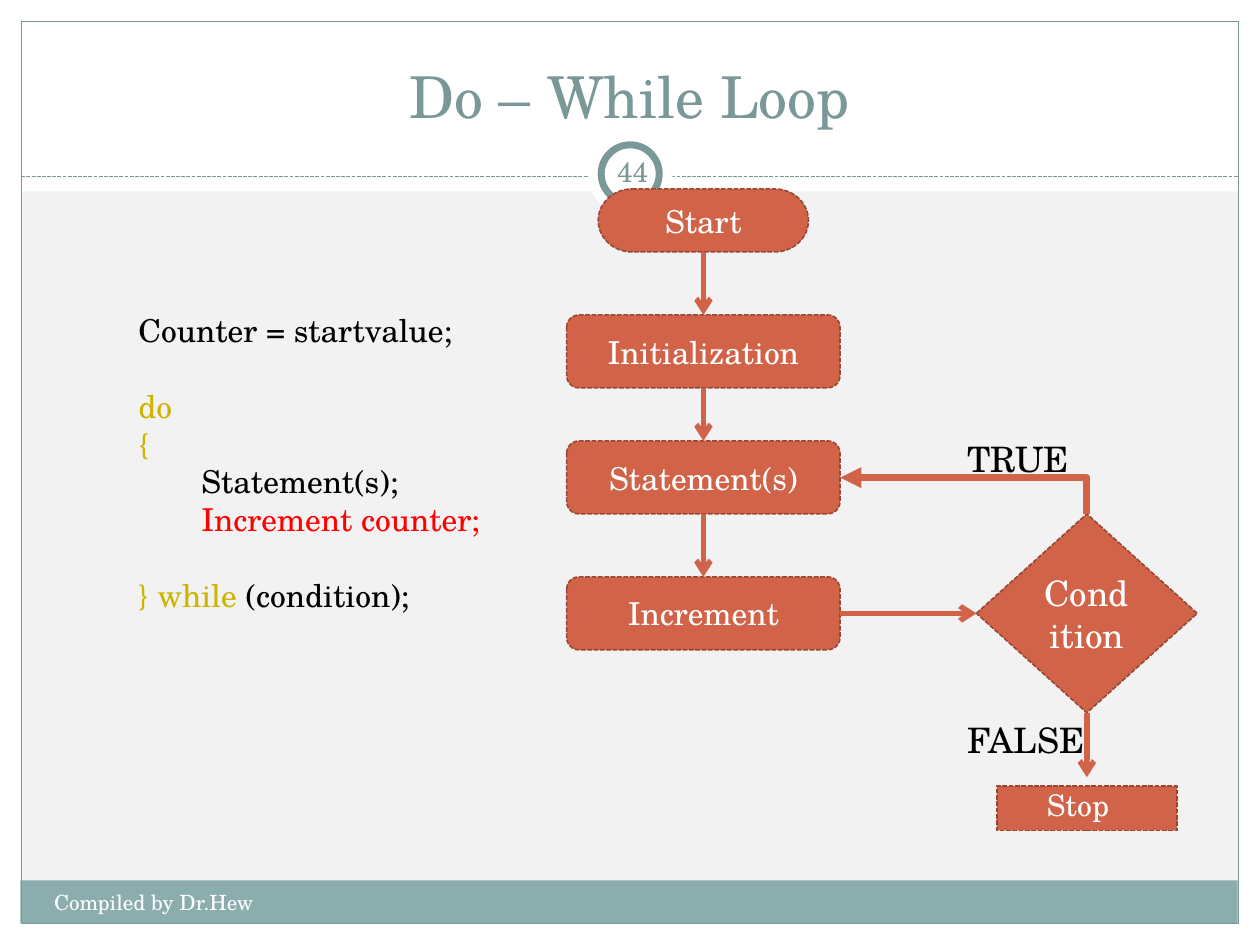
"""Build the Do – While Loop slide with its code outline and flowchart."""
from dataclasses import dataclass

from lxml import etree
from pptx import Presentation
from pptx.dml.color import RGBColor
from pptx.enum.dml import MSO_LINE
from pptx.enum.shapes import MSO_CONNECTOR, MSO_SHAPE
from pptx.enum.text import MSO_ANCHOR, MSO_AUTO_SIZE, PP_ALIGN
from pptx.oxml.ns import qn
from pptx.util import Cm, Pt

RECT, ROUND, OVAL = MSO_SHAPE.RECTANGLE, MSO_SHAPE.ROUNDED_RECTANGLE, MSO_SHAPE.OVAL
DIAMOND, TERMINATOR = MSO_SHAPE.DIAMOND, MSO_SHAPE.FLOWCHART_TERMINATOR
STRAIGHT, ELBOW = MSO_CONNECTOR.STRAIGHT, MSO_CONNECTOR.ELBOW
DASH = MSO_LINE.SQUARE_DOT
LEFT, CENTER = PP_ALIGN.LEFT, PP_ALIGN.CENTER
TOP, MIDDLE, BOTTOM = MSO_ANCHOR.TOP, MSO_ANCHOR.MIDDLE, MSO_ANCHOR.BOTTOM
SIDE_TOP, SIDE_LEFT, SIDE_BOTTOM, SIDE_RIGHT = range(4)


@dataclass(frozen=True)
class Theme:
    font: str = "TeX Gyre Schola"
    ground: str = "F2F2F2"
    white: str = "FFFFFF"
    black: str = "000000"
    teal: str = "7B9899"
    footer: str = "8CADAE"
    node: str = "D16349"
    edge: str = "994733"
    keyword: str = "CCB400"
    accent: str = "FF0000"
    title: float = 33
    large: float = 20
    normal: float = 18
    stop: float = 17
    number: float = 16
    small: float = 12


THEME = Theme()
WIDTH, HEIGHT = 25.4, 19.05
MARGIN = 0.43
RULE_Y = 3.56
FLOW_X, BRANCH_X = 14.18, 21.91
CODE_INDENTS = (2.54, 3.81)
CODE_GAP = 21.5

FRAME = (MARGIN, MARGIN, WIDTH - 2 * MARGIN, HEIGHT - 2 * MARGIN)
BACKDROP = [
    (RECT, (0, HEIGHT - MARGIN, WIDTH, MARGIN), THEME.white, None, 0),
    (RECT, (0, 0, WIDTH, 3.86), THEME.white, None, 0),
    (RECT, (0, 0, MARGIN, HEIGHT), THEME.white, None, 0),
    (RECT, (WIDTH - MARGIN, 0, MARGIN, HEIGHT), THEME.white, None, 0),
    (RECT, (0.41, 17.75, 24.54, 0.86), THEME.footer, None, 0),
    (RECT, FRAME, None, THEME.teal, 0.75),
]
BADGE = [
    (OVAL, (11.86, 2.67, 1.7, 1.7), THEME.white, None, 0),
    (OVAL, (12.12, 2.92, 1.17, 1.17), THEME.white, THEME.teal, 4),
]
CODE = [
    (0, False, [("Counter = startvalue;", THEME.black)]),
    (0, True, [("do", THEME.keyword)]),
    (0, False, [("{", THEME.keyword)]),
    (1, False, [("Statement(s);", THEME.black)]),
    (1, False, [("Increment counter;", THEME.accent)]),
    (0, True, [("} while ", THEME.keyword), ("(condition);", THEME.black)]),
]
NODES = [
    ("Start", TERMINATOR, FLOW_X, 3.81, 4.24, 1.27, THEME.normal),
    ("Initialization", ROUND, FLOW_X, 6.35, 5.51, 1.47, THEME.normal),
    ("Statement(s)", ROUND, FLOW_X, 8.89, 5.51, 1.47, THEME.normal),
    ("Increment", ROUND, FLOW_X, 11.63, 5.51, 1.47, THEME.normal),
    ("Condition", DIAMOND, BRANCH_X, 10.36, 4.45, 4.01, THEME.large),
    ("Stop", RECT, BRANCH_X, 15.85, 3.63, 0.89, THEME.stop),
]
FLOWS = [
    ("Start", SIDE_BOTTOM, "Initialization", SIDE_TOP),
    ("Initialization", SIDE_BOTTOM, "Statement(s)", SIDE_TOP),
    ("Statement(s)", SIDE_BOTTOM, "Increment", SIDE_TOP),
    ("Increment", SIDE_RIGHT, "Condition", SIDE_LEFT),
]
EXIT_END_Y = 15.67
LABELS = [
    ("TRUE", (19.25, 8.69, 2.74, 1.12), THEME.large, THEME.black, LEFT, TOP, 0.25),
    ("FALSE", (19.25, 14.35, 3.18, 1.12), THEME.large, THEME.black, LEFT, TOP, 0.25),
    ("44", (12.12, 2.84, 1.27, 1.22), THEME.number, THEME.teal, CENTER, MIDDLE, 0.13),
    ("Compiled by Dr.Hew", (0.84, 17.81, 9.96, 1.02), THEME.small, THEME.white, LEFT, TOP, 0.25),
]


def lengths(values):
    return [Cm(value) for value in values]


def add_span(para, text, size, color):
    span = para.add_run()
    span.text = text
    span.font.name = THEME.font
    span.font.size = Pt(size)
    span.font.color.rgb = RGBColor.from_string(color)


def set_line(line, color, width, dash=None):
    line.color.rgb = RGBColor.from_string(color)
    line.width = Pt(width)
    if dash:
        line.dash_style = dash


def set_frame(frame, anchor, inset=0.25):
    frame.word_wrap = True
    frame.auto_size = MSO_AUTO_SIZE.NONE
    frame.vertical_anchor = anchor
    frame.margin_left = frame.margin_right = Cm(inset)
    frame.margin_top = frame.margin_bottom = Cm(0.13)


def indent(para, distance):
    para._p.get_or_add_pPr().set("marL", str(Cm(distance)))


def add_figure(page, kind, place, fill, edge, width, dash=None):
    shape = page.shapes.add_shape(kind, *lengths(place))
    shape.shadow.inherit = False
    if fill:
        shape.fill.solid()
        shape.fill.fore_color.rgb = RGBColor.from_string(fill)
    else:
        shape.fill.background()
    if edge:
        set_line(shape.line, edge, width, dash)
    else:
        shape.line.fill.background()
    return shape


def add_link(page, kind, start, end, color, width, head=None, dash=None):
    link = page.shapes.add_connector(kind, *lengths(start + end))
    set_line(link.line, color, width, dash)
    if head:
        etree.SubElement(link.line._get_or_add_ln(), qn("a:tailEnd"), type=head)
    etree.SubElement(link.element.spPr, qn("a:effectLst"))
    return link


def add_node(page, text, kind, center, top, width, height, size):
    place = (center - width / 2, top, width, height)
    node = add_figure(page, kind, place, THEME.node, THEME.edge, 0.91, DASH)
    set_frame(node.text_frame, MIDDLE)
    para = node.text_frame.paragraphs[0]
    para.alignment = CENTER
    if kind == RECT:
        para.alignment = LEFT
        para.line_spacing = 0.8
        indent(para, 0.76)
    add_span(para, text, size, THEME.white)
    return node


def add_title(page):
    title = page.shapes.title
    title.element.getparent().append(title.element)
    title.left, title.top, title.width, title.height = lengths((0.84, 0.64, 23.7, 2.11))
    set_frame(title.text_frame, BOTTOM)
    para = title.text_frame.paragraphs[0]
    para.alignment = CENTER
    add_span(para, "Do – While Loop", THEME.title, THEME.teal)


def add_code(page):
    box = page.shapes.add_textbox(*lengths((0, 6.15, 13.34, 6.35)))
    set_frame(box.text_frame, TOP)
    for index, (level, gap, spans) in enumerate(CODE):
        para = box.text_frame.add_paragraph() if index else box.text_frame.paragraphs[0]
        indent(para, CODE_INDENTS[level])
        if gap:
            para.space_before = Pt(CODE_GAP)
        for text, color in spans:
            add_span(para, text, THEME.normal, color)


def add_label(page, text, place, size, color, align, anchor, inset):
    box = page.shapes.add_textbox(*lengths(place))
    set_frame(box.text_frame, anchor, inset)
    para = box.text_frame.paragraphs[0]
    para.alignment = align
    add_span(para, text, size, color)


def add_loop_back(page, start, end):
    across, rise = start[0] - end[0], start[1] - end[1]
    link = add_link(page, ELBOW, start, end, THEME.node, 4, "triangle")
    link.left = Cm((start[0] + end[0] - rise) / 2)
    link.top = Cm((start[1] + end[1] - across) / 2)
    link.width, link.height = Cm(rise), Cm(across)
    xfrm = link.element.spPr.find(qn("a:xfrm"))
    xfrm.attrib.pop("flipH", None)
    xfrm.set("rot", "16200000")
    xfrm.set("flipV", "1")
    link.element.spPr.find(qn("a:prstGeom")).set("prst", "bentConnector2")


def main():
    deck = Presentation()
    deck.slide_width, deck.slide_height = lengths((WIDTH, HEIGHT))
    page = deck.slides.add_slide(deck.slide_layouts[5])
    page.background.fill.solid()
    page.background.fill.fore_color.rgb = RGBColor.from_string(THEME.ground)
    for figure in BACKDROP:
        add_figure(page, *figure)
    add_link(page, STRAIGHT, (MARGIN, RULE_Y), (WIDTH - MARGIN, RULE_Y), THEME.teal, 0.75, dash=DASH)
    for figure in BADGE:
        add_figure(page, *figure)
    add_code(page)
    add_title(page)
    nodes = {node[0]: add_node(page, *node) for node in NODES}
    for source, source_side, target, target_side in FLOWS:
        link = add_link(page, STRAIGHT, (0, 0), (0, 0), THEME.node, 3, "arrow")
        link.begin_connect(nodes[source], source_side)
        link.end_connect(nodes[target], target_side)
    leave = add_link(page, STRAIGHT, (BRANCH_X, 14.37), (BRANCH_X, EXIT_END_Y), THEME.node, 3, "arrow")
    leave.begin_connect(nodes["Condition"], SIDE_BOTTOM)
    add_loop_back(page, (BRANCH_X, 10.36), (16.94, 9.63))
    for label in LABELS:
        add_label(page, *label)
    deck.save("out.pptx")


if __name__ == "__main__":
    main()
